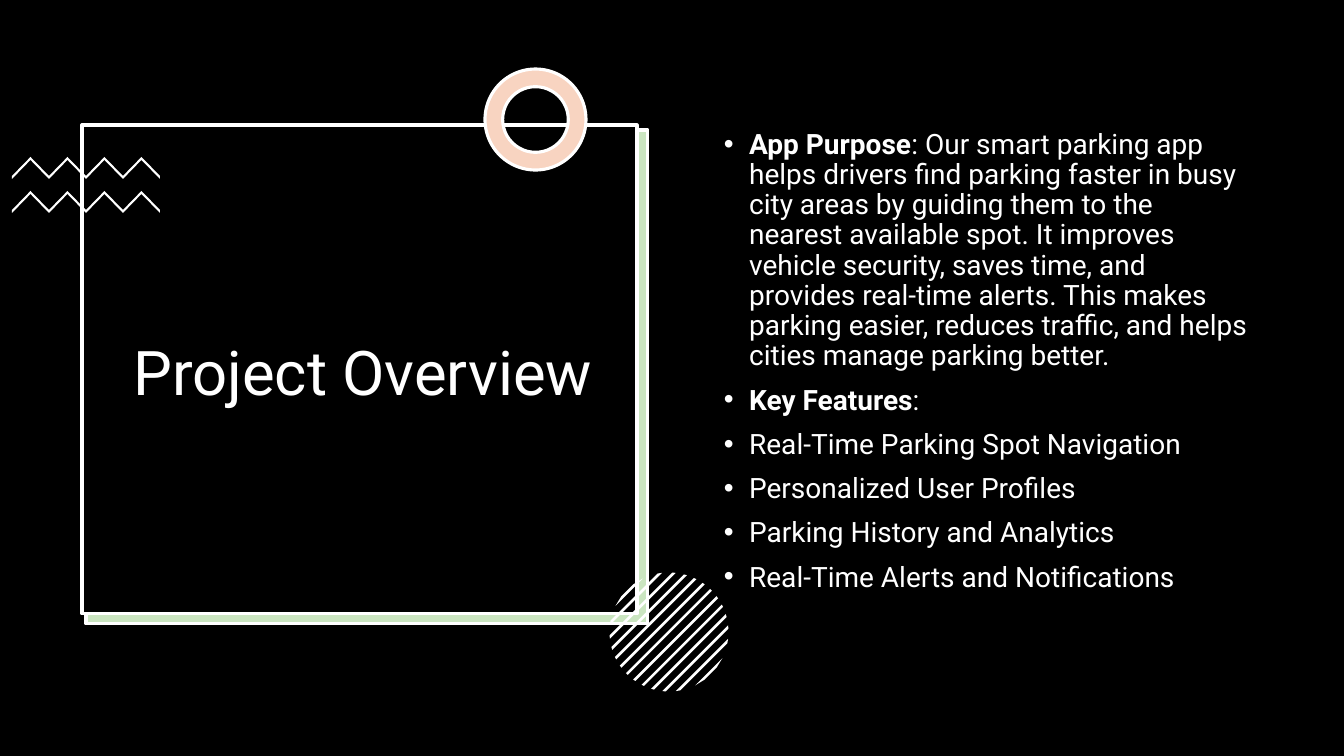
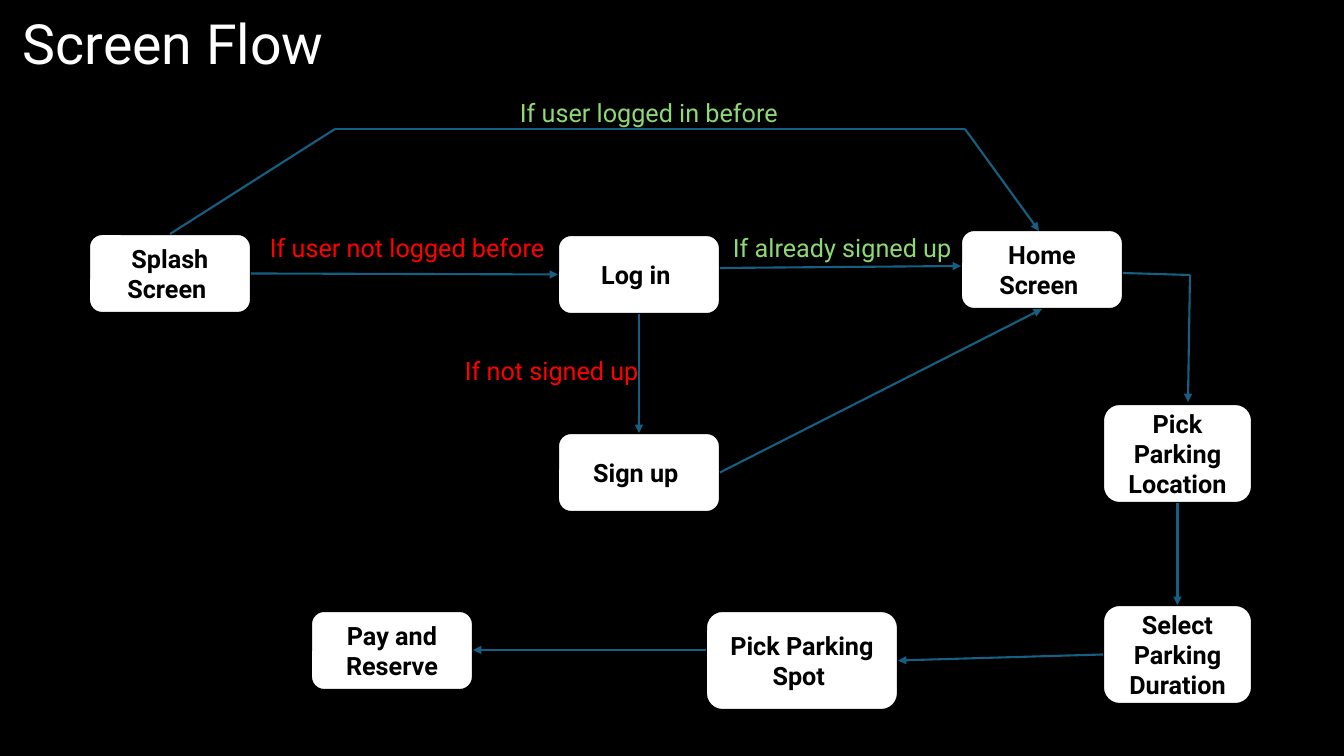
import math
from itertools import pairwise

from lxml import etree
from pptx import Presentation
from pptx import util as u
from pptx.dml.color import RGBColor
from pptx.enum import shapes, text
from pptx.oxml.ns import qn

PX = 12192000 / 1344
FONT = "Roboto"
BLACK = RGBColor(0x00, 0x00, 0x00)
WHITE = RGBColor(0xFF, 0xFF, 0xFF)
MINT = RGBColor(0xCA, 0xE5, 0xC0)
PEACH = RGBColor(0xF8, 0xD4, 0xC1)
BLUE = RGBColor(0x15, 0x60, 0x82)
RED = RGBColor(0xFF, 0x00, 0x00)
GREEN = RGBColor(0x8E, 0xD9, 0x73)
KIND = shapes.MSO_SHAPE
MID = text.MSO_ANCHOR.MIDDLE
CENTER = text.PP_ALIGN.CENTER


def px(*nums):
    return [u.Emu(round(n * PX)) for n in nums]


def style(shape, size, color, align=None, space=None, bold=None):
    """Format all the text of a shape."""
    frame = shape.text_frame
    frame.word_wrap = True
    for para in frame.paragraphs:
        para.alignment = align
        para.line_spacing = space
        for run in para.runs:
            font = run.font
            font.name, font.size, font.color.rgb = FONT, u.Pt(size), color
            if bold is not None:
                font.bold = bold


prs = Presentation()
prs.slide_width, prs.slide_height = px(1344, 756)
pages = []
# Black pages with a title: words, box, size, alignment
for words, box, size, align in (
    ("Project Overview", (93, 153, 540, 446), 44, CENTER),
    ("Screen Flow", (13, 15, 322, 63), 39.6, None),
):
    page = prs.slides.add_slide(prs.slide_layouts[6])
    page.background.fill.solid()
    page.background.fill.fore_color.rgb = BLACK
    title = page.shapes.add_textbox(*px(*box))
    title.text_frame.text = words
    title.text_frame.vertical_anchor = MID
    style(title, size, WHITE, align, 0.9)
    pages.append(page.shapes)
over, flow = pages

# Overview: framed panel and ring, placed behind the title
for spot, (kind, box, color) in enumerate((
    (KIND.RECTANGLE, (86, 130, 562, 494), MINT),
    (KIND.RECTANGLE, (82, 125, 555, 489), BLACK),
    (KIND.DONUT, (485, 69, 101, 101), PEACH),
)):
    shape = over.add_shape(kind, *px(*box))
    shape.shadow.inherit = False
    shape.fill.solid()
    shape.fill.fore_color.rgb = color
    shape.line.color.rgb = WHITE
    shape.line.width = u.Pt(2.25)
    if kind == KIND.DONUT:
        shape.adjustments[0] = 0.175
    title = over[0 + spot]
    title.element.addprevious(shape.element)

# Overview: two zigzags and a striped disc
forms = []
for top in (157, 191):
    edge = [(12 + 18.5 * i, top + 19 * (1 - i % 2)) for i in range(9)]
    forms.append(edge + [(x, y + 3) for x, y in reversed(edge)])
mid_x, mid_y, radius, gap, half = 669, 632, 59.5, 9.6, 1.3
for i in range(-6, 7):
    ends = []
    for off in (i * gap - half, i * gap + half):
        reach = math.sqrt(radius**2 - off**2)
        ends.append([(mid_x + (off + s * reach) / math.sqrt(2),
                      mid_y + (off - s * reach) / math.sqrt(2))
                     for s in (-1, 1)])
    forms.append(ends[0] + ends[1][::-1])
for form in forms:
    first, *rest = [px(*point) for point in form]
    pen = over.build_freeform(*first)
    pen.add_line_segments(rest, close=True)
    shape = pen.convert_to_shape()
    shape.shadow.inherit = False
    shape.fill.solid()
    shape.fill.fore_color.rgb = WHITE
    shape.line.fill.background()

# Overview: bullets, each a bold lead and a plain rest
body = over.add_textbox(*px(714, 125, 548, 480))
for i, (lead, rest) in enumerate((
    ("App Purpose", ": Our smart parking app helps drivers find parking faster "
     "in busy city areas by guiding them to the nearest available spot. It "
     "improves vehicle security, saves time, and provides real-time alerts. "
     "This makes parking easier, reduces traffic, and helps cities manage "
     "parking better."),
    ("Key Features", ":"),
    ("", "Real-Time Parking Spot Navigation"),
    ("", "Personalized User Profiles"),
    ("", "Parking History and Analytics"),
    ("", "Real-Time Alerts and Notifications"),
)):
    frame = body.text_frame
    para = frame.add_paragraph() if i else frame.paragraphs[0]
    if lead:
        run = para.add_run()
        run.text = lead
        run.font.bold = True
    para.add_run().text = rest
    para.space_before = u.Pt(10)
    props = para._p.get_or_add_pPr()
    props.set("marL", "228600")
    props.set("indent", "-228600")
    etree.SubElement(props, qn("a:buFont")).set("typeface", "Arial")
    etree.SubElement(props, qn("a:buChar")).set("char", "•")
style(body, 20, WHITE, space=0.9)

# Flow: steps
steps = {}
for key, words, box in (
    ("splash", "Splash Screen ", (89, 234, 162, 79)),
    ("login", "Log in ", (558, 235, 162, 79)),
    ("sign", "Sign up ", (558, 433, 162, 79)),
    ("home", "Home Screen ", (961, 230, 162, 79)),
    ("place", "Pick Parking Location", (1103, 404, 149, 99)),
    ("time", "Select Parking Duration", (1103, 605, 149, 99)),
    ("spot", "Pick Parking Spot ", (706, 611, 192, 99)),
    ("pay", "Pay and Reserve", (311, 611, 162, 79)),
):
    step = flow.add_shape(KIND.ROUNDED_RECTANGLE, *px(*box))
    step.shadow.inherit = False
    step.fill.solid()
    step.fill.fore_color.rgb = WHITE
    step.line.color.rgb = BLACK
    step.line.width = u.Pt(1.5)
    step.text_frame.text = words
    step.text_frame.vertical_anchor = MID
    style(step, 18, BLACK, CENTER, bold=True)
    steps[key] = step

# Flow: links glued to the steps, then routes through free points
TOP, LEFT, BOTTOM, RIGHT = range(4)
STRAIGHT = shapes.MSO_CONNECTOR.STRAIGHT
links = []
for start, out, end, into in (
    ("splash", RIGHT, "login", LEFT),
    ("login", BOTTOM, "sign", TOP),
    ("sign", RIGHT, "home", BOTTOM),
    ("place", BOTTOM, "time", TOP),
    ("time", LEFT, "spot", RIGHT),
):
    link = flow.add_connector(STRAIGHT, 0, 0, 0, 0)
    link.begin_connect(steps[start], out)
    link.end_connect(steps[end], into)
    links.append((link, True))
for route in (
    [(720, 268), (961, 266)],
    [(706, 650), (473, 650)],
    [(170, 234), (335, 129), (965, 129), (1039, 231)],
    [(1123, 273), (1190, 275), (1188, 402)],
):
    for start, end in pairwise(route):
        link = flow.add_connector(STRAIGHT, *px(*start, *end))
        links.append((link, end == route[-1]))
for link, arrow in links:
    link.line.color.rgb = BLUE
    link.line.width = u.Pt(1.5)
    if arrow:
        head = etree.SubElement(link.line._get_or_add_ln(), qn("a:tailEnd"))
        head.set("type", "triangle")
    etree.SubElement(link._element.spPr, qn("a:effectLst"))

# Flow: conditions
for words, left, top, width, color in (
    ("If user not logged before", 260, 227, 297, RED),
    ("If user logged in before", 510, 92, 290, GREEN),
    ("If already signed up", 723, 227, 241, GREEN),
    ("If not signed up", 455, 350, 195, RED),
):
    note = flow.add_textbox(*px(left, top, width, 40))
    note.text_frame.text = words
    style(note, 18, color)

prs.save("out.pptx")
